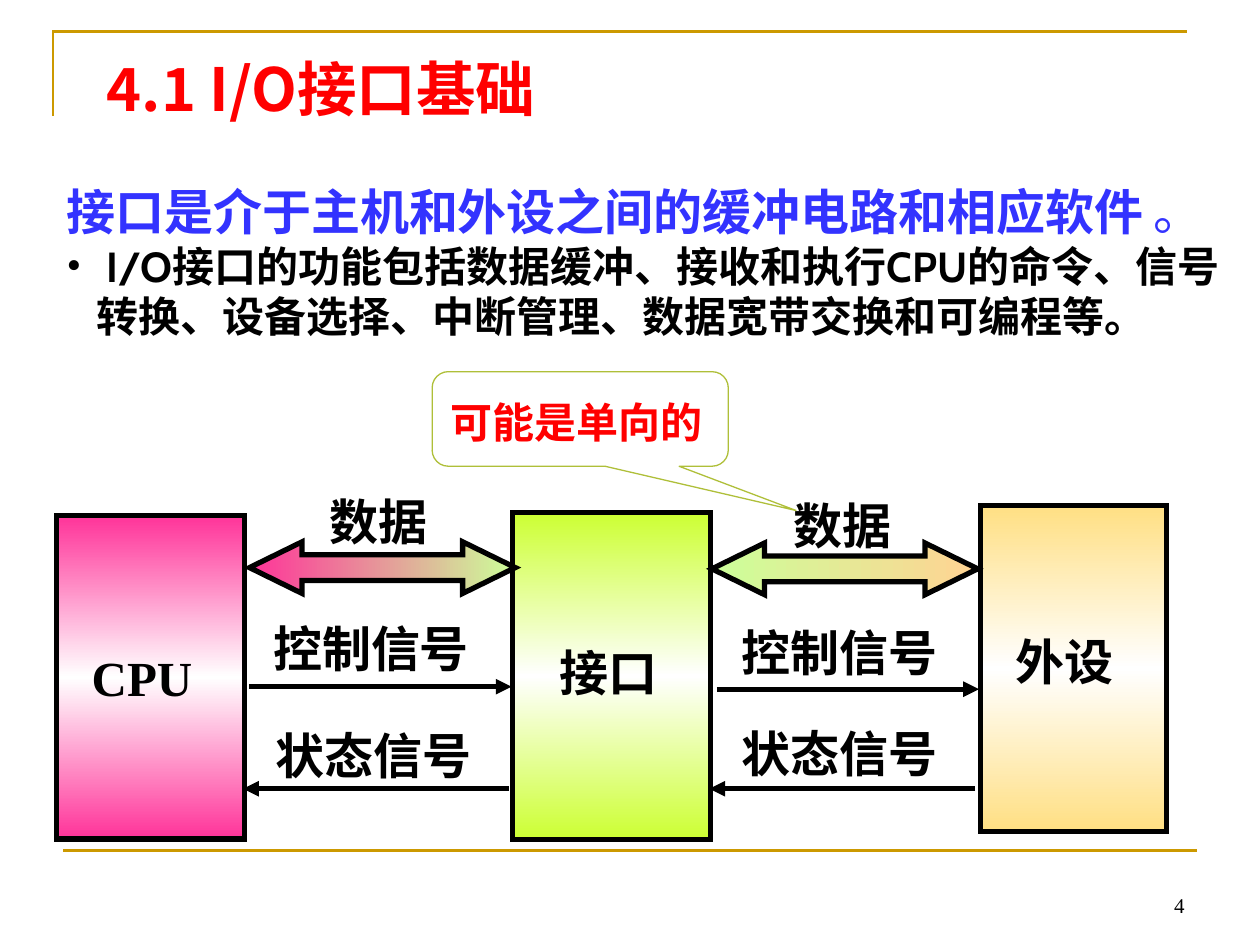
from lxml import etree
from pptx import Presentation
from pptx.dml.color import RGBColor
from pptx.enum.shapes import MSO_CONNECTOR, MSO_SHAPE
from pptx.enum.text import MSO_ANCHOR, MSO_AUTO_SIZE, PP_ALIGN
from pptx.oxml.ns import qn
from pptx.util import Inches, Pt

LINE = MSO_CONNECTOR.STRAIGHT
RECT, DOUBLE_ARROW = MSO_SHAPE.RECTANGLE, MSO_SHAPE.LEFT_RIGHT_ARROW
CALLOUT = MSO_SHAPE.ROUNDED_RECTANGULAR_CALLOUT
TOP, BOTTOM = MSO_ANCHOR.TOP, MSO_ANCHOR.BOTTOM
LEFT, RIGHT = PP_ALIGN.LEFT, PP_ALIGN.RIGHT
FIXED, GROW = MSO_AUTO_SIZE.NONE, MSO_AUTO_SIZE.SHAPE_TO_FIT_TEXT

THEME = {
    "black": "000000", "red": "FF0000", "blue": "3333FF", "gold": "CC9900",
    "callout": "AFBF39", "white": "FFFFFF",
    "pink": "FF3399", "lime": "CCFF33", "sand": "FFDF83",
    "mint": "CCFF99", "peach": "FFD393",
    "serif": "Times New Roman", "sans": "Cabin", "cjk": "Noto Sans CJK SC",
    "title": 34, "label": 28, "body": 24, "number": 12,
    "rule": 1.5, "heavy": 3, "thin": 0.75,
}

# Run: text, font, size, colour, bold
TITLE = [("4.1 I/O接口基础", "cjk", "title", "red", True)]
DEFINITION = [
    ("接口是介于主机和外设之间的缓冲电路和相应软件", "serif", "label", "blue", True),
    (" 。", "sans", "label", "blue", False),
]
FUNCTIONS = [
    (text, font, "body", "black", True) for text, font in (
        (" I/O", "sans"),
        ("接口的功能包括数据缓冲、接收和执行", "serif"),
        ("CPU", "sans"),
        ("的命令、信号转换、设备选择、中断管理、数据宽带交换和可编程等。", "serif"),
    )
]
NOTE = [("可能是单向的", "serif", "body", "red", True)]
NUMBER = [("4", "serif", "number", "black", False)]

# Box: left, top, width, height, colour
UNITS = [
    (0.45, 4.09, 1.49, 2.57, "pink"),
    (4.07, 4.07, 1.57, 2.59, "lime"),
    (7.78, 4.01, 1.48, 2.59, "sand"),
]
# Data bus: left, top, left colour, right colour
BUSES = [(1.98, 4.3, "pink", "mint"), (5.65, 4.31, "mint", "peach")]
# Signal: start x, end x, y
SIGNALS = [
    (1.98, 4.06, 5.45), (5.69, 7.77, 5.47),
    (4.04, 1.93, 6.26), (7.74, 5.63, 6.26),
]
# Label: text, left, top, width
LABELS = [
    ("CPU", 0.63, 5.09, 1), ("接口", 4.34, 5.05, 0.98), ("外设", 7.96, 4.96, 0.98),
    ("数据", 2.52, 3.85, 0.98), ("数据", 6.2, 3.88, 0.98),
    ("控制信号", 2.07, 4.86, 1.76), ("控制信号", 5.79, 4.89, 1.76),
    ("状态信号", 2.09, 5.71, 1.76), ("状态信号", 5.79, 5.69, 1.76),
]


def color(name):
    return RGBColor.from_string(THEME[name])


def set_line(line, name, width):
    line.color.rgb = color(name)
    line.width = Pt(THEME[width])
    etree.SubElement(line._get_or_add_ln(), qn("a:miter"), lim="800000")


def fill_runs(p, runs):
    for text, font, size, ink, bold in runs:
        r = p.add_run()
        r.text = text
        values = {"name": THEME[font], "size": Pt(THEME[size]), "bold": bold}
        for key, value in values.items():
            setattr(r.font, key, value)
        r.font.color.rgb = color(ink)
        etree.SubElement(r.font._element, qn("a:ea"), typeface=THEME["cjk"])


def add_text(s, box, *paragraphs, anchor=TOP, align=LEFT, one_line=False):
    tf = s.shapes.add_textbox(*map(Inches, box)).text_frame
    tf.word_wrap, tf.vertical_anchor = not one_line, anchor
    tf.auto_size = GROW if one_line else FIXED
    for i, runs in enumerate(paragraphs):
        p = tf.add_paragraph() if i else tf.paragraphs[0]
        p.alignment = align
        fill_runs(p, runs)
    return tf


def add_bullet(p, indent):
    pPr = p._p.get_or_add_pPr()
    pPr.set("marL", str(Inches(indent)))
    pPr.set("indent", str(-Inches(indent)))
    clr = etree.SubElement(pPr, qn("a:buClr"))
    etree.SubElement(clr, qn("a:srgbClr"), val=THEME["black"])
    etree.SubElement(pPr, qn("a:buFont"), typeface=THEME["serif"])
    etree.SubElement(pPr, qn("a:buChar"), char="•")


def add_gradient_shape(s, kind, box, colors, angle):
    sp = s.shapes.add_shape(kind, *map(Inches, box))
    sp.shadow.inherit = False
    sp.fill.gradient()
    sp.fill.gradient_angle = angle
    stops = sp._element.spPr.find(".//" + qn("a:gsLst"))
    stops.clear()
    for i, name in enumerate(colors):
        position = 100000 * i // (len(colors) - 1)
        stop = etree.SubElement(stops, qn("a:gs"), pos=str(position))
        etree.SubElement(stop, qn("a:srgbClr"), val=THEME[name])
    set_line(sp.line, "black", "heavy")
    return sp


def add_line(s, x1, y1, x2, y2, ink, width, arrow=False):
    c = s.shapes.add_connector(LINE, *map(Inches, (x1, y1, x2, y2)))
    set_line(c.line, ink, width)
    if arrow:
        etree.SubElement(c.line._get_or_add_ln(), qn("a:tailEnd"), type="triangle")
    etree.SubElement(c._element.spPr, qn("a:effectLst"))


def add_frame(s):
    corner = s.shapes.build_freeform(Inches(0.42), Inches(0.92), scale=1.0)
    corner.add_line_segments(
        [(Inches(0.42), Inches(0.25)), (Inches(9.42), Inches(0.25))], close=False)
    sp = corner.convert_to_shape()
    sp.shadow.inherit = False
    sp.fill.background()
    set_line(sp.line, "gold", "rule")
    add_line(s, 0.5, 6.75, 9.5, 6.75, "gold", "rule")


def add_diagram(s):
    for *box, ink in UNITS:
        add_gradient_shape(s, RECT, box, (ink, "white", ink), 90)
    for left, top, start, end in BUSES:
        sp = add_gradient_shape(s, DOUBLE_ARROW, (left, top, 2.11, 0.41), (start, end), 0)
        sp.adjustments[0], sp.adjustments[1] = 0.5, 1.02
    for x1, x2, y in SIGNALS:
        add_line(s, x1, y, x2, y, "black", "heavy", arrow=True)
    for text, left, top, width in LABELS:
        add_text(s, (left, top, width, 0.57),
                 [(text, "serif", "label", "black", True)], one_line=True)


def add_callout(s):
    add_text(s, (3.48, 3.1, 2.2, 0.5), NOTE, one_line=True)
    sp = s.shapes.add_shape(CALLOUT, *map(Inches, (3.43, 2.95, 2.35, 0.75)))
    sp.shadow.inherit = False
    sp.fill.background()
    set_line(sp.line, "callout", "thin")
    for i, value in enumerate((0.73, 0.97, 0.17)):
        sp.adjustments[i] = value


def main():
    prs = Presentation()
    prs.slide_width, prs.slide_height = Inches(10), Inches(7.5)
    s = prs.slides.add_slide(prs.slide_layouts[6])
    add_frame(s)
    body = add_text(s, (0.43, 1.39, 9.37, 1.37), DEFINITION, FUNCTIONS)
    add_bullet(body.paragraphs[1], 0.24)
    add_text(s, (0.75, 0.37, 8.5, 0.66), TITLE, anchor=BOTTOM)
    add_diagram(s)
    add_callout(s)
    add_text(s, (7.17, 6.83, 2.33, 0.5), NUMBER, anchor=BOTTOM, align=RIGHT)
    prs.save("out.pptx")


if __name__ == "__main__":
    main()
